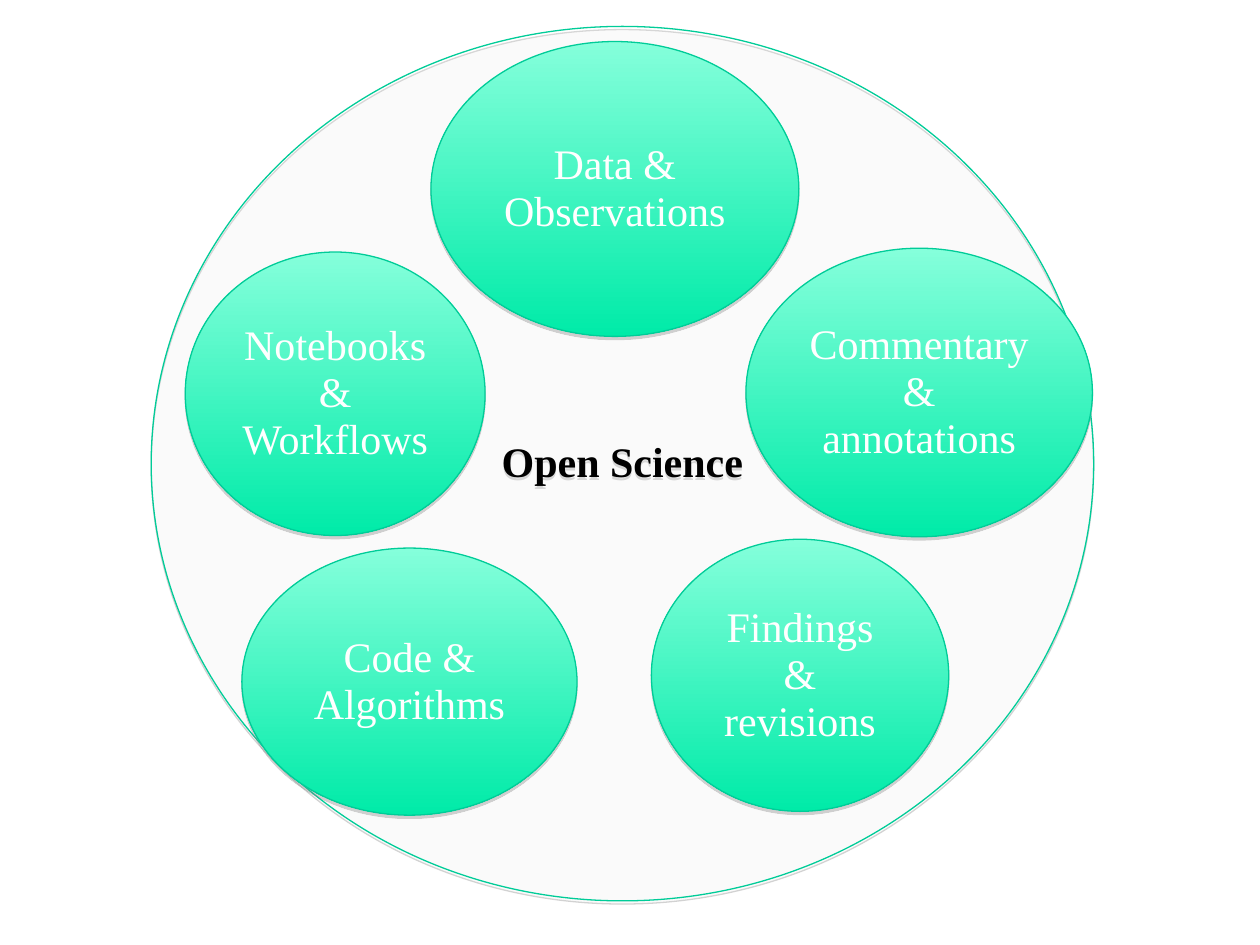
from dataclasses import dataclass

from lxml import etree
from pptx import Presentation
from pptx.dml.color import RGBColor
from pptx.enum import shapes, text
from pptx.oxml import ns
from pptx.util import Inches, Pt

FONT = "Times New Roman"
OUTLINE = "00CC98"
GRADIENT = ("85FFDB", "00EBA8")


@dataclass
class Oval:
    label: str
    left: float
    top: float
    width: float
    height: float


WHOLE = Oval("Open Science", 1.2, 0.21, 7.48, 6.94)
PARTS = [
    Oval("Notebooks & Workflows", 1.47, 2, 2.38, 2.25),
    Oval("Code & Algorithms", 1.92, 4.35, 2.66, 2.12),
    Oval("Data &\nObservations", 3.42, 0.33, 2.92, 2.34),
    Oval("Findings & revisions", 5.17, 4.28, 2.36, 2.16),
    Oval("Commentary & annotations", 5.92, 1.97, 2.75, 2.29),
]


def rgb(color: str) -> RGBColor:
    return RGBColor.from_string(color)


def add_alpha(color_element, percent: int) -> None:
    etree.SubElement(color_element, ns.qn("a:alpha"), val=str(percent * 1000))


def add_shadow(sp) -> None:
    """Give the shape a crisp grey shadow just below it."""
    sp.shadow.inherit = False
    effects = sp._element.spPr.find(ns.qn("a:effectLst"))
    shadow = etree.SubElement(effects, ns.qn("a:outerShdw"), blurRad="0",
                              dist=str(Pt(1.8)), dir="5400000", rotWithShape="0")
    add_alpha(etree.SubElement(shadow, ns.qn("a:srgbClr"), val="808080"), 35)


def fill_translucent(sp, color: str, percent: int) -> None:
    sp.fill.solid()
    sp.fill.fore_color.rgb = rgb(color)
    add_alpha(sp._element.spPr.find(f".//{ns.qn('a:srgbClr')}"), percent)


def fill_gradient(sp) -> None:
    sp.fill.gradient()
    sp.fill.gradient_angle = 270
    for stop, color in zip(sp.fill.gradient_stops, GRADIENT):
        stop.color.rgb = rgb(color)


def add_oval(s, oval: Oval, color: str, bold: bool = False):
    """Add an outlined, shadowed ellipse with a centred label."""
    sp = s.shapes.add_shape(shapes.MSO_SHAPE.OVAL, Inches(oval.left), Inches(oval.top),
                            Inches(oval.width), Inches(oval.height))
    sp.line.color.rgb = rgb(OUTLINE)
    sp.line.width = Pt(0.75)
    add_shadow(sp)
    tf = sp.text_frame
    tf.word_wrap = True
    tf.vertical_anchor = text.MSO_ANCHOR.MIDDLE
    tf.text = oval.label
    for p in tf.paragraphs:
        p.alignment = text.PP_ALIGN.CENTER
        p.line_spacing = 0.93
        for r in p.runs:
            r.font.name = FONT
            r.font.size = Pt(24)
            r.font.bold = bold
            r.font.color.rgb = rgb(color)
    return sp


def main() -> None:
    prs = Presentation()
    prs.slide_width, prs.slide_height = Inches(10), Inches(7.5)
    s = prs.slides.add_slide(prs.slide_layouts[6])
    fill_translucent(add_oval(s, WHOLE, "000000", bold=True), "FFFFFF", 9)
    for part in PARTS:
        fill_gradient(add_oval(s, part, "FFFFFF"))
    prs.save("out.pptx")


if __name__ == "__main__":
    main()
